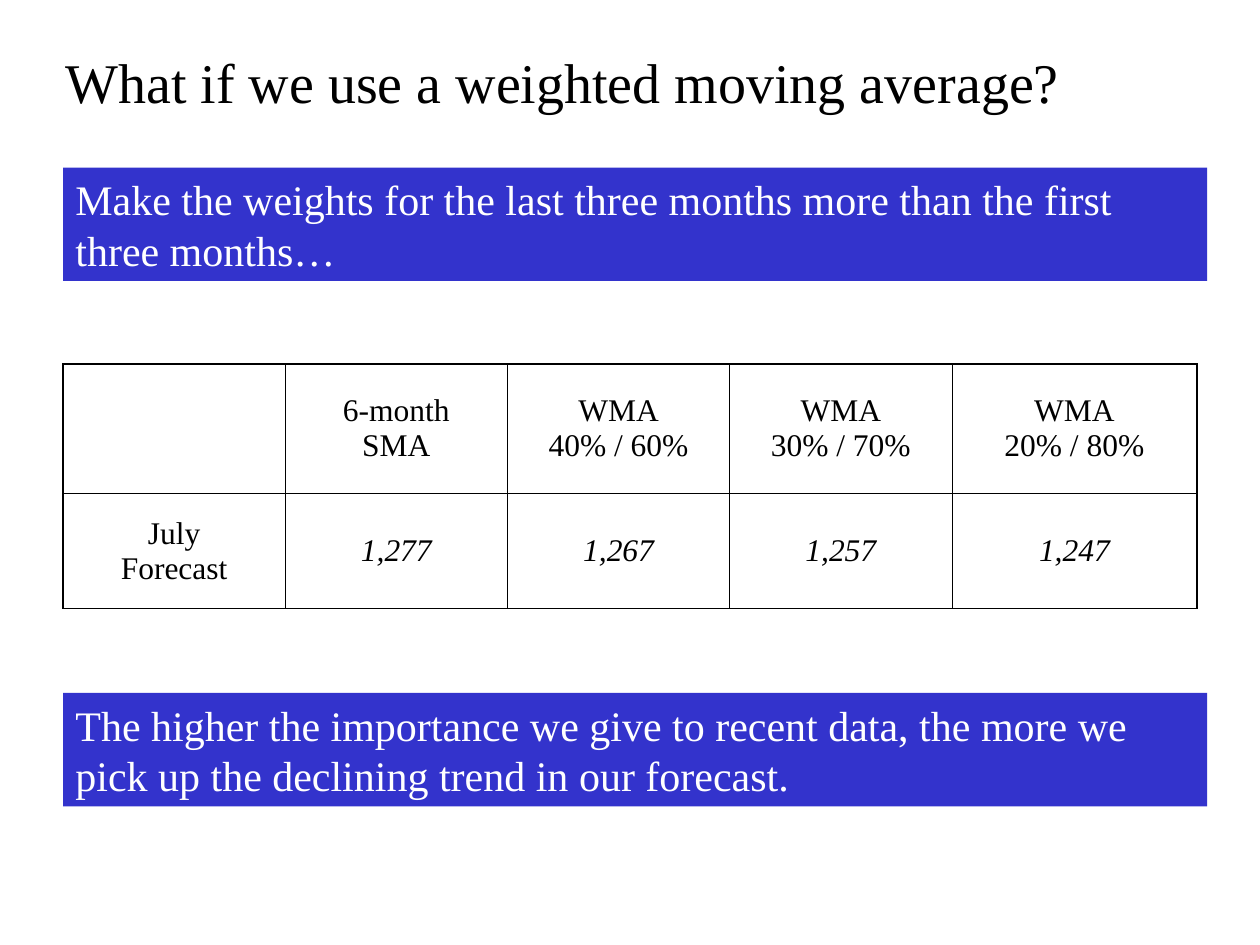
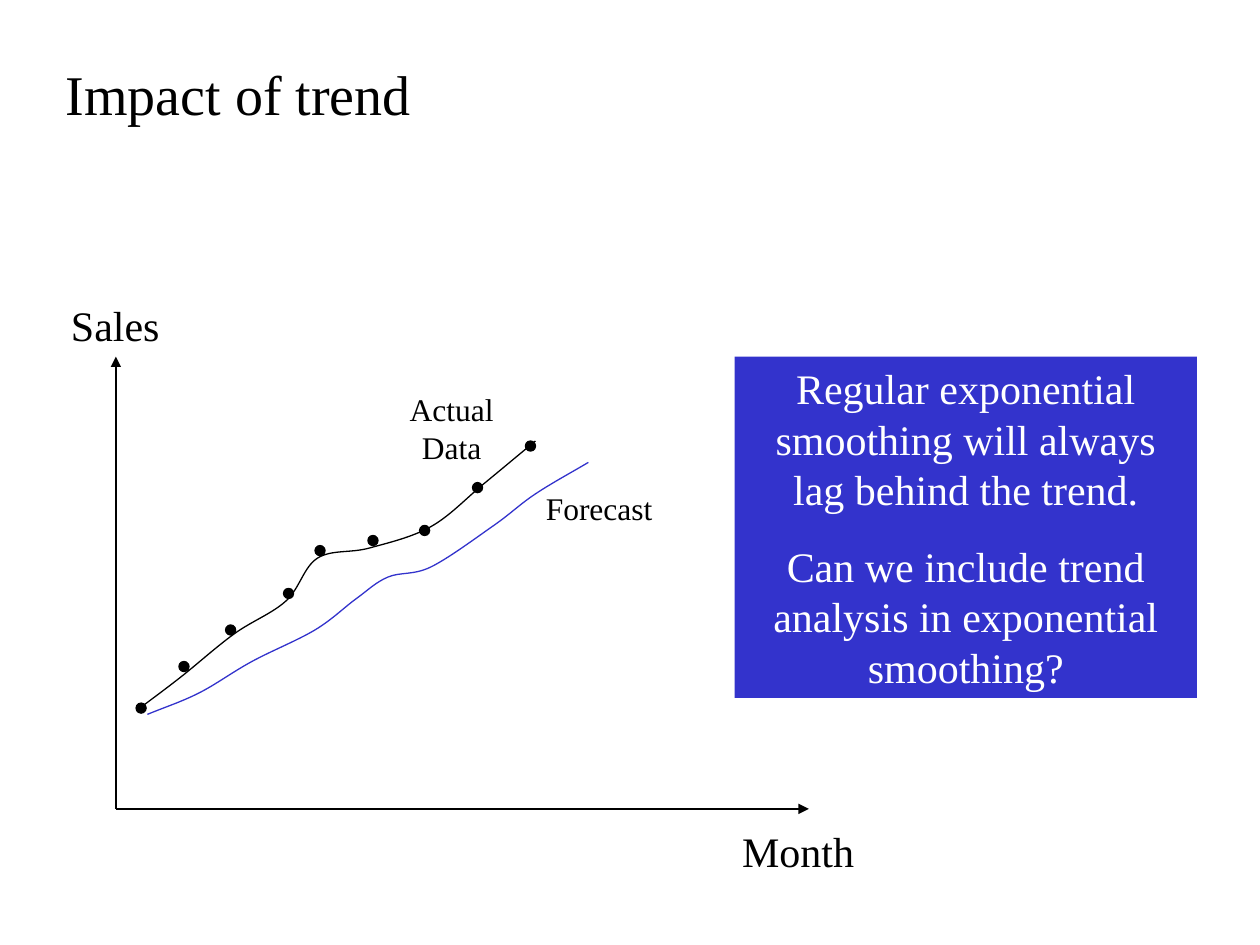
from lxml.etree import SubElement
from pptx import Presentation
from pptx.dml.color import RGBColor
from pptx.enum.shapes import MSO_CONNECTOR, MSO_SHAPE
from pptx.enum.text import MSO_ANCHOR, MSO_AUTO_SIZE, PP_ALIGN
from pptx.oxml.ns import qn
from pptx.util import Inches, Pt

FONT = "Times New Roman"
BLACK = "000000"
WHITE = "FFFFFF"
BLUE = "3333CC"
LINE_WIDTH = 0.75
OUTER_BORDER = 1.08
INNER_BORDER = 0.45
DOT_SIZE = 0.08

FORECAST_TABLE = [
    ["", "6-month\nSMA", "WMA\n40% / 60%", "WMA\n30% / 70%", "WMA\n20% / 80%"],
    ["July\nForecast", "1,277", "1,267", "1,257", "1,247"],
]
TABLE_WIDTH = 9
TABLE_HEIGHT = 1.94
COLUMN_SHARES = [1.76, 1.76, 1.76, 1.76, 1.94]
ROW_SHARES = [1.03, 0.92]

MONTHLY_SALES = [
    (1.08, 5.58), (1.42, 5.25), (1.79, 4.96), (2.25, 4.67), (2.5, 4.33),
    (2.92, 4.25), (3.33, 4.17), (3.75, 3.83), (4.17, 3.5),
]
ACTUAL_CURVE = [
    (1.11, 5.62), (1.44, 5.37), (1.86, 5.03), (2.27, 4.77), (2.52, 4.43),
    (2.93, 4.35), (3.42, 4.18), (3.84, 3.84), (4.25, 3.5),
]
FORECAST_CURVE = [
    (1.17, 5.67), (1.58, 5.5), (2, 5.25), (2.5, 5), (2.83, 4.75),
    (3.08, 4.58), (3.42, 4.5), (3.92, 4.17), (4.25, 3.92), (4.67, 3.67),
]


def color(hex_code):
    return RGBColor.from_string(hex_code)


def box(left, top, width, height):
    return [Inches(length) for length in (left, top, width, height)]


def paint(filled, hex_code):
    filled.fill.solid()
    filled.fill.fore_color.rgb = color(hex_code)


def stroke(outlined, hex_code):
    outlined.line.color.rgb = color(hex_code)
    outlined.line.width = Pt(LINE_WIDTH)


def format_text(frame, size, hex_code, align, italic=False):
    for paragraph in frame.paragraphs:
        paragraph.alignment = align
        for run in paragraph.runs:
            run.font.name = FONT
            run.font.size = Pt(size)
            run.font.italic = italic
            run.font.color.rgb = color(hex_code)


def add_titled_slide(deck, text, top, width):
    slide = deck.slides.add_slide(deck.slide_layouts[5])
    title = slide.shapes.title
    title.left, title.top, title.width, title.height = box(0.42, top, width, 0.64)
    frame = title.text_frame
    frame.text = text
    frame.auto_size = MSO_AUTO_SIZE.NONE
    frame.vertical_anchor = MSO_ANCHOR.TOP
    format_text(frame, 32, BLACK, PP_ALIGN.LEFT)
    return slide


def add_message(slide, text, place, align=PP_ALIGN.LEFT):
    message = slide.shapes.add_shape(MSO_SHAPE.RECTANGLE, *box(*place))
    message.shadow.inherit = False
    paint(message, BLUE)
    message.line.fill.background()
    frame = message.text_frame
    frame.text = text
    frame.word_wrap = True
    frame.vertical_anchor = MSO_ANCHOR.TOP
    format_text(frame, 24, WHITE, align)
    for paragraph in frame.paragraphs[1:]:
        paragraph.space_before = Pt(15)


def add_label(slide, text, place, size):
    frame = slide.shapes.add_textbox(*box(*place)).text_frame
    frame.text = text
    frame.word_wrap = True
    format_text(frame, size, BLACK, PP_ALIGN.CENTER)


def add_border(cell, side, width):
    border = SubElement(cell._tc.get_or_add_tcPr(), qn(f"a:ln{side}"), w=str(Pt(width)))
    fill = SubElement(border, qn("a:solidFill"))
    SubElement(fill, qn("a:srgbClr"), val=BLACK)


def format_cell(cell, row, column):
    outer_sides = {
        "L": column == 0, "R": column == len(COLUMN_SHARES) - 1,
        "T": row == 0, "B": row == len(ROW_SHARES) - 1,
    }
    for side, is_outer in outer_sides.items():
        add_border(cell, side, OUTER_BORDER if is_outer else INNER_BORDER)
    cell.fill.background()
    cell.vertical_anchor = MSO_ANCHOR.MIDDLE
    format_text(cell.text_frame, 18, BLACK, PP_ALIGN.CENTER, row > 0 and column > 0)


def add_forecast_table(slide):
    place = box(0.5, 2.89, TABLE_WIDTH, TABLE_HEIGHT)
    table = slide.shapes.add_table(len(ROW_SHARES), len(COLUMN_SHARES), *place).table
    table.first_row = False
    table.horz_banding = False
    for column, share in zip(table.columns, COLUMN_SHARES):
        column.width = Inches(TABLE_WIDTH * share / sum(COLUMN_SHARES))
    for row, share in zip(table.rows, ROW_SHARES):
        row.height = Inches(TABLE_HEIGHT * share / sum(ROW_SHARES))
    for row, texts in enumerate(FORECAST_TABLE):
        for column, text in enumerate(texts):
            cell = table.cell(row, column)
            cell.text_frame.text = text
            format_cell(cell, row, column)


def add_axis(slide, start, end):
    ends = [Inches(length) for length in (*start, *end)]
    axis = slide.shapes.add_connector(MSO_CONNECTOR.STRAIGHT, *ends)
    stroke(axis, BLACK)
    SubElement(axis.line._get_or_add_ln(), qn("a:tailEnd"), type="triangle")
    SubElement(axis._element.spPr, qn("a:effectLst"))


def add_dot(slide, left, top):
    dot = slide.shapes.add_shape(MSO_SHAPE.OVAL, *box(left, top, DOT_SIZE, DOT_SIZE))
    dot.shadow.inherit = False
    paint(dot, BLACK)
    stroke(dot, BLACK)


def mirror(point, center):
    return tuple(2 * c - p for p, c in zip(point, center))


def handle(knot, toward, away):
    return tuple(k + (t - a) / 6 for k, t, a in zip(knot, toward, away))


def bend_segments(curve, knots):
    padded = [mirror(knots[1], knots[0]), *knots, mirror(knots[-2], knots[-1])]
    segments = list(curve._element.iter(qn("a:lnTo")))
    neighbours = zip(padded, padded[1:], padded[2:], padded[3:])
    for segment, (before, start, end, after) in zip(segments, neighbours):
        segment.tag = qn("a:cubicBezTo")
        handles = [handle(start, end, before), handle(end, start, after)]
        for position, (x, y) in enumerate(handles):
            point = SubElement(
                segment, qn("a:pt"),
                x=str(round(x - curve.left)), y=str(round(y - curve.top)),
            )
            segment.insert(position, point)


def add_curve(slide, places, hex_code):
    knots = [(Inches(x), Inches(y)) for x, y in places]
    builder = slide.shapes.build_freeform(*knots[0])
    builder.add_line_segments(knots[1:], close=False)
    curve = builder.convert_to_shape()
    bend_segments(curve, knots)
    curve.shadow.inherit = False
    curve.fill.background()
    stroke(curve, hex_code)


def build_weighted_average(deck):
    slide = add_titled_slide(deck, "What if we use a weighted moving average?", 0.33, 9)
    add_message(
        slide,
        "Make the weights for the last three months more than the first three months…",
        (0.5, 1.33, 9.08, 0.9),
    )
    add_forecast_table(slide)
    add_message(
        slide,
        "The higher the importance we give to recent data, the more we "
        "pick up the declining trend in our forecast.",
        (0.5, 5.5, 9.08, 0.9),
    )


def build_trend_impact(deck):
    slide = add_titled_slide(deck, "Impact of trend", 0.42, 9.17)
    origin = (0.92, 6.42)
    add_axis(slide, origin, (0.92, 2.83))
    add_axis(slide, origin, (6.42, 6.42))
    add_label(slide, "Sales", (0.33, 2.33, 1.17, 0.5), 24)
    add_label(slide, "Month", (5.5, 6.5, 1.67, 0.5), 24)
    add_message(
        slide,
        "Regular exponential smoothing will always lag behind the trend.\n"
        "Can we include trend analysis in exponential smoothing?",
        (5.83, 2.83, 3.67, 2.71),
        PP_ALIGN.CENTER,
    )
    for left, top in MONTHLY_SALES:
        add_dot(slide, left, top)
    add_curve(slide, ACTUAL_CURVE, BLACK)
    add_curve(slide, FORECAST_CURVE, BLUE)
    add_label(slide, "Actual Data", (3, 3.05, 1.17, 0.7), 18)
    add_label(slide, "Forecast", (4.17, 3.83, 1.17, 0.4), 18)


def main():
    deck = Presentation()
    deck.slide_width = Inches(10)
    deck.slide_height = Inches(7.5)
    build_weighted_average(deck)
    build_trend_impact(deck)
    deck.save("out.pptx")


if __name__ == "__main__":
    main()
